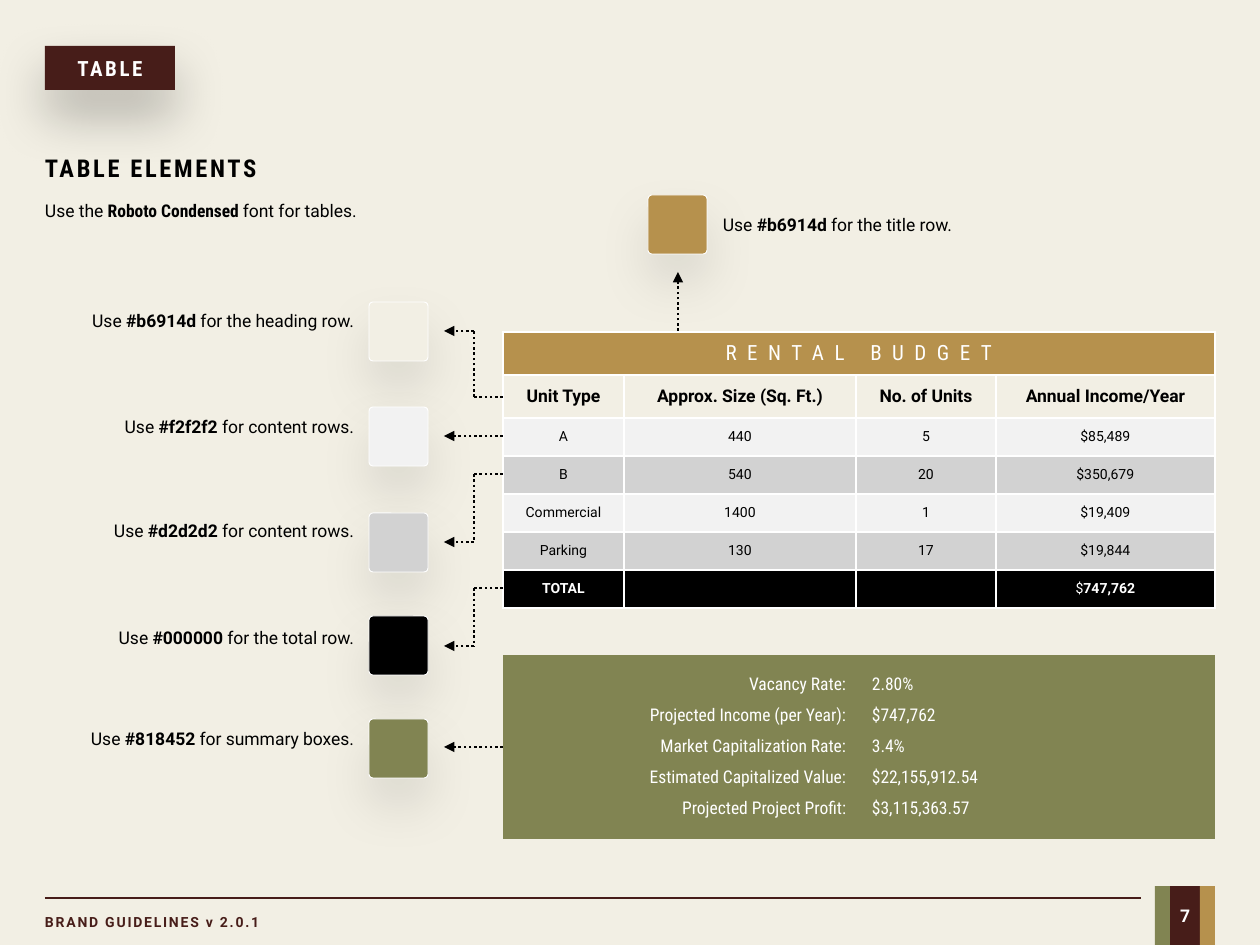
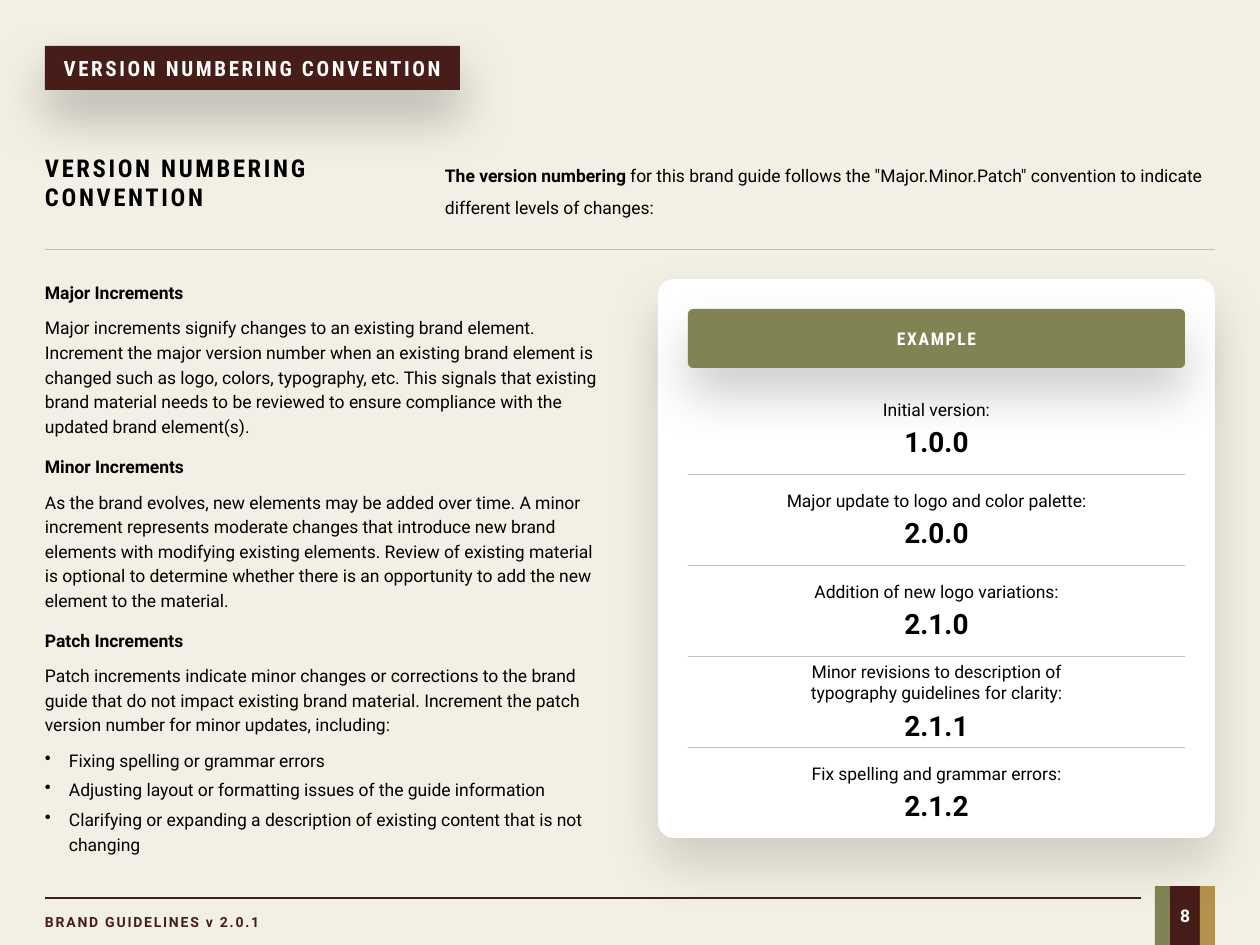
from collections import namedtuple
from itertools import pairwise

from lxml.etree import SubElement
from pptx import Presentation
from pptx.dml.color import RGBColor
from pptx.enum.dml import MSO_LINE
from pptx.enum.shapes import MSO_CONNECTOR, MSO_SHAPE
from pptx.enum.text import MSO_ANCHOR, MSO_AUTO_SIZE, PP_ALIGN
from pptx.oxml.ns import qn
from pptx.util import Emu, Pt

PX_PER_INCH = 126
COLORS = {
    "cream": "F2EFE4", "maroon": "471D19", "olive": "818452", "gold": "B6914D",
    "light": "F2F2F2", "gray": "D2D2D2", "rule": "BFBFBF",
    "black": "000000", "white": "FFFFFF",
}
BODY = "Roboto"
CONDENSED = "Roboto Condensed"
NO_TABLE_STYLE = "{2D5ABB26-0587-4C30-8999-92F81FD0307C}"
MARGIN = 45
CONTENT_WIDTH = 1170
SWATCH = 59
Box = namedtuple("Box", "left top width height")


def px(length):
    return Emu(round(length * 914400 / PX_PER_INCH))


def emu(box):
    return [px(length) for length in box]


def rgb(name):
    return RGBColor.from_string(COLORS[name])


def write(paragraph, text, size=10, color="black", font=BODY, bold_font=None,
          bold=False, spacing=0, align=PP_ALIGN.LEFT, leading=None, after=0):
    paragraph.alignment = align
    paragraph.space_after = Pt(after)
    if leading:
        paragraph.line_spacing = Pt(leading)
    for index, piece in enumerate(text.split("**")):
        if not piece:
            continue
        run = paragraph.add_run()
        run.text = piece
        strong = bold or index % 2 == 1
        run.font.bold = strong
        run.font.name = bold_font if strong and bold_font else font
        run.font.size = Pt(size)
        run.font.color.rgb = rgb(color)
        if spacing:
            run.font._element.set("spc", str(round(spacing * 100)))


def prepare(text_frame, left=0, right=0, anchor=MSO_ANCHOR.TOP):
    text_frame.word_wrap = True
    text_frame.auto_size = MSO_AUTO_SIZE.NONE
    text_frame.margin_left, text_frame.margin_right = px(left), px(right)
    text_frame.margin_top = text_frame.margin_bottom = 0
    text_frame.vertical_anchor = anchor
    return text_frame


def add_text(slide, box, *texts, left=0, right=0, anchor=MSO_ANCHOR.TOP, **style):
    text_frame = prepare(slide.shapes.add_textbox(*emu(box)).text_frame, left, right, anchor)
    for index, text in enumerate(texts):
        paragraph = text_frame.add_paragraph() if index else text_frame.paragraphs[0]
        write(paragraph, text, **style)
    return text_frame


def set_shadow(shape, opacity):
    shape.shadow.inherit = False
    effects = shape.element.spPr.find(qn("a:effectLst"))
    shadow = SubElement(effects, qn("a:outerShdw"), blurRad=str(Pt(30)), dist=str(Pt(15)),
                        dir="5400000", algn="t", rotWithShape="0")
    color = SubElement(shadow, qn("a:srgbClr"), val=COLORS["black"])
    SubElement(color, qn("a:alpha"), val=str(opacity * 1000))


def add_block(slide, box, fill, radius=None, outline=None, shadow=None):
    kind = MSO_SHAPE.RECTANGLE if radius is None else MSO_SHAPE.ROUNDED_RECTANGLE
    shape = slide.shapes.add_shape(kind, *emu(box))
    if radius is not None:
        shape.adjustments[0] = radius / min(box.width, box.height)
    shape.fill.solid()
    shape.fill.fore_color.rgb = rgb(fill)
    if outline:
        shape.line.color.rgb = rgb(outline)
        shape.line.width = Pt(0.5)
    else:
        shape.line.fill.background()
    shape.shadow.inherit = False
    if shadow:
        set_shadow(shape, shadow)
    return shape


def add_line(slide, start, end, color, width, dotted=False, arrow=False):
    line = slide.shapes.add_connector(MSO_CONNECTOR.STRAIGHT, *emu(start + end))
    line.line.color.rgb = rgb(color)
    line.line.width = Pt(width)
    if dotted:
        line.line.dash_style = MSO_LINE.ROUND_DOT
    if arrow:
        SubElement(line.line._get_or_add_ln(), qn("a:tailEnd"), type="triangle")
    SubElement(line.element.spPr, qn("a:effectLst"))
    return line


def add_leader(slide, *points):
    for start, end in pairwise(points):
        line = add_line(slide, start, end, "black", 1.5, dotted=True, arrow=end == points[-1])
    return line


def add_footer(slide, box, number):
    add_line(slide, (box.left, box.top + 12), (box.left + 1096, box.top + 12), "maroon", 1.5)
    add_text(slide, Box(box.left, box.top + 28, 227, 16), "BRAND GUIDELINES v 2.0.1",
             size=8, color="maroon", bold=True, spacing=1)
    left = box.left + box.width - 60
    for color, width in (("olive", 15), ("maroon", 30), ("gold", 15)):
        band = add_block(slide, Box(left, box.top, width, box.height), color)
        if color == "maroon":
            write(prepare(band.text_frame, anchor=MSO_ANCHOR.MIDDLE).paragraphs[0], number,
                  color="white", bold=True, align=PP_ALIGN.CENTER)
        left += width


def add_page(presentation, title, tab_width, heading, number):
    slide = presentation.slides.add_slide(presentation.slide_layouts[5])
    tab = slide.shapes.title
    tab.left, tab.top, tab.width, tab.height = emu(Box(MARGIN, 46, tab_width, 44))
    tab.fill.solid()
    tab.fill.fore_color.rgb = rgb("maroon")
    set_shadow(tab, 25)
    write(prepare(tab.text_frame, anchor=MSO_ANCHOR.MIDDLE).paragraphs[0], title, size=12,
          color="white", font=CONDENSED, bold=True, spacing=1.5, align=PP_ALIGN.CENTER)
    add_text(slide, Box(MARGIN, 153, 270, 60), heading, size=14, font=CONDENSED,
             bold=True, spacing=1.5)
    add_footer(slide, Box(MARGIN, 886, CONTENT_WIDTH, 59), number)
    return slide


def add_plain_table(slide, box, widths, row_heights):
    frame = slide.shapes.add_table(len(row_heights), len(widths), *emu(box))
    next(frame.element.iter(qn("a:tableStyleId"))).text = NO_TABLE_STYLE
    table = frame.table
    table.first_row = table.horz_banding = False
    for column, width in zip(table.columns, widths):
        column.width = px(width)
    for row, height in zip(table.rows, row_heights):
        row.height = px(height)
    return table


def format_cell(cell, text, fill=None, **style):
    cell.margin_left = cell.margin_right = px(13)
    cell.margin_top = cell.margin_bottom = 0
    cell.vertical_anchor = MSO_ANCHOR.MIDDLE
    paragraph = cell.text_frame.paragraphs[0]
    write(paragraph, text, **style)
    if not text:
        SubElement(paragraph._p, qn("a:endParaRPr"), sz="800")
    if not fill:
        cell.fill.background()
        return
    for side in ("a:lnL", "a:lnR", "a:lnT", "a:lnB"):
        border = SubElement(cell._tc.get_or_add_tcPr(), qn(side), w=str(Pt(1)))
        SubElement(SubElement(border, qn("a:solidFill")), qn("a:srgbClr"), val=COLORS["white"])
    cell.fill.solid()
    cell.fill.fore_color.rgb = rgb(fill)


def add_rental_table(slide, box):
    title = dict(fill="gold", size=12, color="white", font=CONDENSED, spacing=6)
    heading = dict(fill="cream", bold=True)
    light = dict(fill="light", size=8)
    gray = dict(fill="gray", size=8)
    total = dict(fill="black", size=8, color="white")
    rows = [
        (title, "RENTAL BUDGET", "", "", ""),
        (heading, "Unit Type", "Approx. Size (Sq. Ft.)", "No. of Units", "Annual Income/Year"),
        (light, "A", "440", "5", "$85,489"),
        (gray, "B", "540", "20", "$350,679"),
        (light, "Commercial", "1400", "1", "$19,409"),
        (gray, "Parking", "130", "17", "$19,844"),
        (total, "**TOTAL**", "", "", "$**747,762**"),
    ]
    table = add_plain_table(slide, box, (121, 232, 140, 219), [43] * 2 + [38] * 5)
    for row, (style, *texts) in enumerate(rows):
        for column, text in enumerate(texts):
            format_cell(table.cell(row, column), text, align=PP_ALIGN.CENTER, **style)
    table.cell(0, 0).merge(table.cell(0, 3))


def add_summary(slide, box):
    facts = [
        ("Vacancy Rate:", "2.80%"),
        ("Projected Income (per Year):", "$747,762"),
        ("Market Capitalization Rate:", "3.4%"),
        ("Estimated Capitalized Value:", "$22,155,912.54"),
        ("Projected Project Profit:", "$3,115,363.57"),
    ]
    panel = add_block(slide, box, "olive")
    table = add_plain_table(slide, Box(box.left + 16, box.top + 14, 536, 155),
                            (340, 196), [31] * len(facts))
    for row, fact in enumerate(facts):
        for column, align in enumerate((PP_ALIGN.RIGHT, PP_ALIGN.LEFT)):
            format_cell(table.cell(row, column), fact[column], color="white",
                        font=CONDENSED, align=align)
    return panel


def add_swatch(slide, left, top, color):
    add_block(slide, Box(left, top, SWATCH, SWATCH), color, radius=4, outline="white", shadow=10)


def add_color_notes(slide, box, table_left, panel):
    notes = [
        ("cream", "#b6914d", "the heading row", 302, 310, 331, 397),
        ("light", "#f2f2f2", "content rows", 407, 416, 436, 436),
        ("gray", "#d2d2d2", "content rows", 513, 520, 542, 474),
        ("black", "#000000", "the total row", 616, 627, 646, 588),
        ("olive", "#818452", "summary boxes", 719, 728, 747, 747),
    ]
    swatch_left = box.left + box.width - SWATCH
    arrow_left = swatch_left + 75
    bend = arrow_left + 30
    for color, code, purpose, top, label_top, arrow_y, source_y in notes:
        add_swatch(slide, swatch_left, top, color)
        add_text(slide, Box(box.left, label_top, box.width - SWATCH, 21),
                 f"Use **{code} **for {purpose}.", right=15, align=PP_ALIGN.RIGHT)
        source, target = (table_left, source_y), (arrow_left, arrow_y)
        if source_y == arrow_y:
            leader = add_leader(slide, source, target)
        else:
            leader = add_leader(slide, source, (bend, source_y), (bend, arrow_y), target)
    leader.begin_connect(panel, 1)


def add_title_note(slide, box):
    add_swatch(slide, box.left, box.top, "gold")
    add_text(slide, Box(box.left + 60, box.top + 19, 363, 21),
             "Use **#b6914d **for the title row.", left=15)
    middle = box.left + 30
    add_leader(slide, (middle, box.top + box.height), (middle, box.top + 77))


def build_table_slide(presentation):
    slide = add_page(presentation, "TABLE", 130, "TABLE ELEMENTS", "7")
    add_text(slide, Box(MARGIN, 190, 449, 30), "Use the **Roboto Condensed **font for tables.",
             bold_font=CONDENSED, leading=18)
    table_box = Box(503, 332, 712, 276)
    add_rental_table(slide, table_box)
    panel = add_summary(slide, Box(table_box.left, 655, table_box.width, 184))
    add_title_note(slide, Box(648, 195, 423, 136))
    add_color_notes(slide, Box(79, 302, 349, 476), table_box.left, panel)


def add_increment(slide, box, heading, description, bullets=()):
    text_frame = add_text(slide, box, f"**{heading}**", description, leading=14, after=6)
    for bullet in bullets:
        paragraph = text_frame.add_paragraph()
        properties = paragraph._p.get_or_add_pPr()
        properties.set("marL", str(px(24)))
        properties.set("indent", str(-px(24)))
        SubElement(properties, qn("a:buChar"), char="•")
        write(paragraph, bullet, leading=14, after=3)


def add_example_card(slide, box):
    versions = [
        ("Initial version:", "1.0.0"),
        ("Major update to logo and color palette:", "2.0.0"),
        ("Addition of new logo variations:", "2.1.0"),
        ("Minor revisions to description of typography guidelines for clarity:", "2.1.1"),
        ("Fix spelling and grammar errors:", "2.1.2"),
    ]
    pad, slot, text_width = 30, 91, 307
    add_block(slide, box, "white", radius=16, shadow=15)
    inner_left, inner_width = box.left + pad, box.width - 2 * pad
    banner = add_block(slide, Box(inner_left, box.top + pad, inner_width, 59), "olive",
                       radius=5, shadow=20)
    write(prepare(banner.text_frame, anchor=MSO_ANCHOR.MIDDLE).paragraphs[0], "EXAMPLE",
          color="white", font=CONDENSED, bold=True, spacing=1, align=PP_ALIGN.CENTER)
    for index, (change, version) in enumerate(versions):
        top = box.top + 104 + index * slot
        if index:
            add_line(slide, (inner_left, top), (inner_left + inner_width, top), "rule", 0.5)
        text_frame = add_text(
            slide, Box(box.left + (box.width - text_width) // 2, top, text_width, slot),
            change, anchor=MSO_ANCHOR.MIDDLE, align=PP_ALIGN.CENTER, after=3)
        write(text_frame.add_paragraph(), version, size=16, bold=True, align=PP_ALIGN.CENTER)


def build_version_slide(presentation):
    title = "VERSION NUMBERING CONVENTION"
    slide = add_page(presentation, title, 415, title, "8")
    add_text(slide, Box(445, 155, 771, 60),
             '**The version numbering **for this brand guide follows the "Major.Minor.Patch" '
             "convention to indicate different levels of changes:", leading=18)
    add_line(slide, (MARGIN, 249), (MARGIN + CONTENT_WIDTH, 249), "rule", 0.5)
    increments = [
        ("Major Increments",
         "Major increments signify changes to an existing brand element. Increment the major "
         "version number when an existing brand element is changed such as logo, colors, "
         "typography, etc. This signals that existing brand material needs to be reviewed to "
         "ensure compliance with the updated brand element(s)."),
        ("Minor Increments",
         "As the brand evolves, new elements may be added over time. A minor increment "
         "represents moderate changes that introduce new brand elements with modifying existing "
         "elements. Review of existing material is optional to determine whether there is an "
         "opportunity to add the new element to the material."),
        ("Patch Increments",
         "Patch increments indicate minor changes or corrections to the brand guide that do not "
         "impact existing brand material. Increment the patch version number for minor updates, "
         "including:",
         ("Fixing spelling or grammar errors",
          "Adjusting layout or formatting issues of the guide information",
          "Clarifying or expanding a description of existing content that is not changing")),
    ]
    for index, increment in enumerate(increments):
        height = 228 if len(increment) == 3 else 157
        add_increment(slide, Box(MARGIN, 279 + index * 174, 557, height), *increment)
    add_example_card(slide, Box(658, 279, 557, 559))


def main():
    presentation = Presentation()
    presentation.slide_width, presentation.slide_height = px(1260), px(945)
    background = presentation.slide_master.background.fill
    background.solid()
    background.fore_color.rgb = rgb("cream")
    build_table_slide(presentation)
    build_version_slide(presentation)
    presentation.save("out.pptx")


if __name__ == "__main__":
    main()
